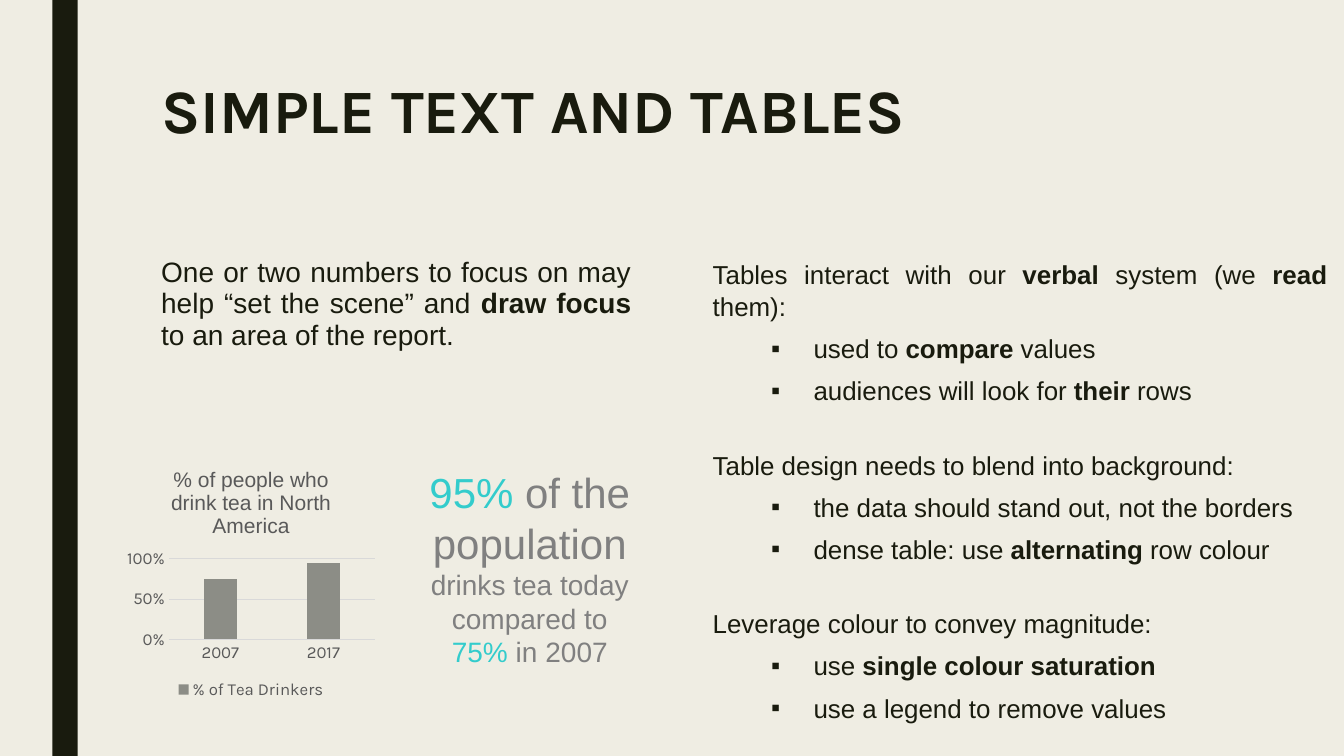
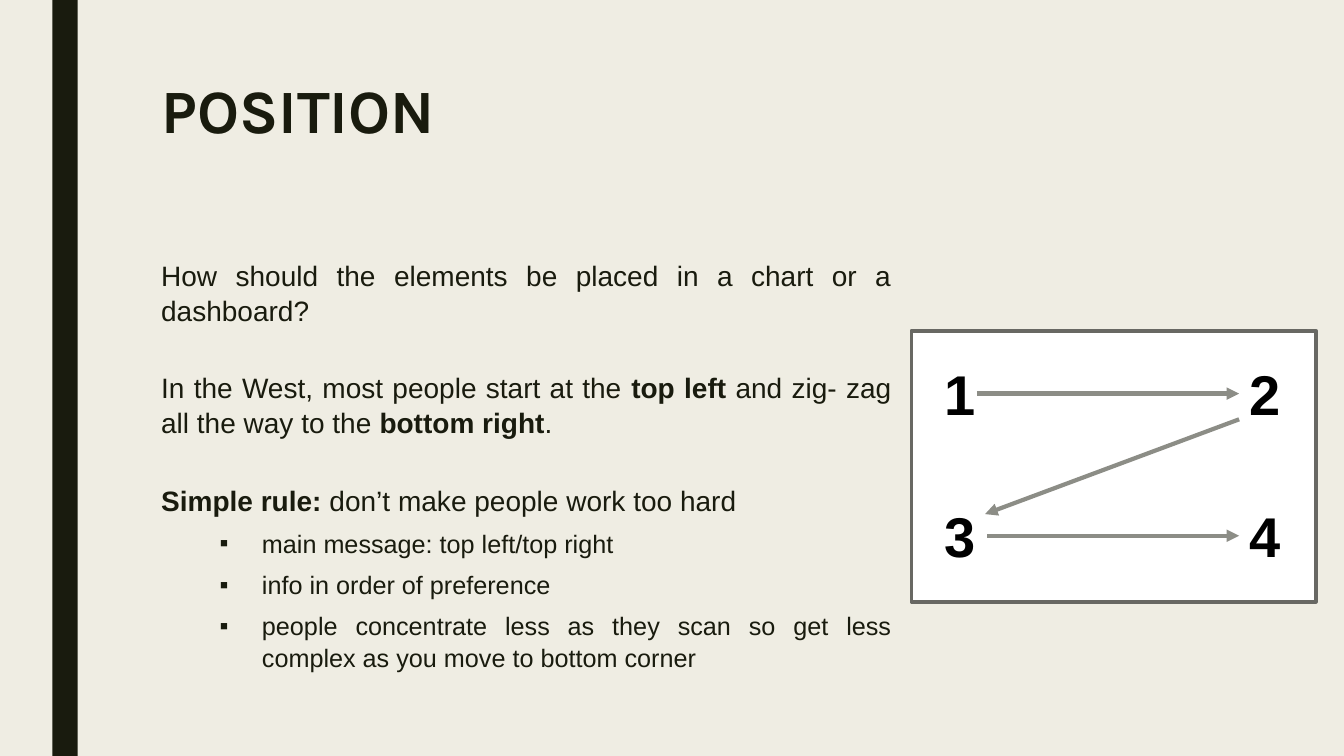
from lxml import etree
from pptx import Presentation
from pptx.chart import data
from pptx.dml import color
from pptx.enum import chart as kinds, shapes, text
from pptx.oxml import ns
from pptx.util import Inches, Pt

DARK, GREY, MID, PALE = "191B0E", "808080", "8C8D86", "D9D9D9"
TEAL, SLATE, SAND = "33CCCC", "595959", "EFEDE3"
JUST, MIDDLE = text.PP_ALIGN.JUSTIFY, text.PP_ALIGN.CENTER


def paint(fill, tone):
    fill.solid()
    fill.fore_color.rgb = color.RGBColor.from_string(tone)


def write(slide, place, rows, tone=DARK, mark=None, align=JUST, lead=1.04, after=2):
    box = slide.shapes.add_textbox(*map(Inches, place))
    frame = box.text_frame
    frame.word_wrap = True
    for i, (line, size, before, dot) in enumerate(rows):
        para = frame.add_paragraph() if i else frame.paragraphs[0]
        if dot:
            props = para._p.get_or_add_pPr()
            props.set("marL", str(Inches(1)))
            props.set("indent", str(-Inches(0.42)))
            etree.SubElement(props, ns.qn("a:buFont")).set("typeface", "Arial")
            etree.SubElement(props, ns.qn("a:buChar")).set("char", "▪")
            para.level = 1
        para.alignment = align
        para.line_spacing = lead
        para.space_before, para.space_after = Pt(before), Pt(after)
        for j, part in enumerate(line.split("*")):
            if part:
                run = para.add_run()
                run.text = part
                run.font.name, run.font.size = "Arial", Pt(size)
                run.font.bold = j % 2 == 1 and mark is None
                paint(run.font.fill, mark if j % 2 and mark else tone)
    return box


deck = Presentation()
deck.slide_width, deck.slide_height = Inches(13.33), Inches(7.5)
base = deck.slide_layouts[5]
paint(base.background.fill, SAND)

pages = []
for name in ["SIMPLE TEXT AND TABLES", "POSITION"]:
    page = deck.slides.add_slide(base)
    title = page.shapes.title
    title.left, title.top = Inches(1.5), Inches(0.75)
    title.width, title.height = Inches(10.5), Inches(1.62)
    frame = title.text_frame
    frame.vertical_anchor = text.MSO_ANCHOR.TOP
    frame.word_wrap = True
    para = frame.paragraphs[0]
    para.alignment = text.PP_ALIGN.LEFT
    para.line_spacing = 0.89
    run = para.add_run()
    run.text = name
    run.font.name, run.font.size, run.font.bold = "Karla", Pt(44), True
    paint(run.font.fill, DARK)
    pages.append(page)
simple, layout = pages

band = simple.shapes.add_shape(
    shapes.MSO_SHAPE.RECTANGLE, Inches(0.52), 0, Inches(0.25), Inches(7.5))
band.shadow.inherit = False
paint(band.fill, DARK)
band.line.fill.background()
base.shapes.element.append(band.element)

write(simple, (1.5, 2.5, 4.86, 1.5), [
    ("One or two numbers to focus on may help “set the scene” and "
     "*draw focus* to an area of the report.", 20, 0, False)], lead=0.94)

stats = data.CategoryChartData(number_format="0%")
stats.categories = ["2007", "2017"]
stats.add_series("% of Tea Drinkers", [0.75, 0.95])
chart = simple.shapes.add_chart(
    kinds.XL_CHART_TYPE.COLUMN_CLUSTERED, Inches(1.21), Inches(4.48),
    Inches(2.56), Inches(2.5), stats).chart
chart.font.name, chart.font.size = "Karla", Pt(12)
paint(chart.font.fill, SLATE)
chart.has_title = True
run = chart.chart_title.text_frame.paragraphs[0].add_run()
run.text = "% of people who drink tea in North America"
run.font.name, run.font.size, run.font.bold = "Arial", Pt(15), False
paint(run.font.fill, SLATE)
chart.has_legend = True
chart.legend.position = kinds.XL_LEGEND_POSITION.BOTTOM
chart.legend.include_in_layout = False
plot = chart.plots[0]
plot.gap_width, plot.overlap, plot.vary_by_categories = 219, -27, False
paint(plot.series[0].format.fill, MID)
cats, vals = chart.category_axis, chart.value_axis
for axis in (cats, vals):
    axis.major_tick_mark = axis.minor_tick_mark = kinds.XL_TICK_MARK.NONE
vals.minimum_scale, vals.maximum_scale, vals.major_unit = 0, 1, 0.5
vals.tick_labels.number_format = "0%"
vals.tick_labels.number_format_is_linked = False
vals.format.line.fill.background()
for line in (cats.format.line, vals.major_gridlines.format.line):
    paint(line.fill, PALE)
    line.width = Pt(0.75)

write(simple, (4.14, 4.58, 2.23, 2.12), [
    ("*95%* of the population", 30, 0, False),
    ("drinks tea today compared to", 20, 0, False),
    ("*75%* in 2007", 20, 0, False)], GREY, TEAL, MIDDLE, 1, 0)

write(simple, (6.97, 2.5, 6.29, 4.53), [
    ("Tables interact with our *verbal* system (we *read* them):", 18.5, 0, False),
    ("used to *compare* values", 18.5, 5, True),
    ("audiences will look for *their* rows", 18.5, 5, True),
    ("Table design needs to blend into background:", 18.5, 28, False),
    ("the data should stand out, not the borders", 18.5, 5, True),
    ("dense table: use *alternating* row colour", 18.5, 5, True),
    ("Leverage colour to convey magnitude:", 18.5, 28, False),
    ("use *single colour saturation*", 18.5, 5, True),
    ("use a legend to remove values", 18.5, 5, True)])

write(layout, (1.5, 2.5, 7.44, 3.92), [
    ("How should the elements be placed in a chart or a dashboard?", 20, 0, False),
    ("In the West, most people start at the *top left* and zig- zag "
     "all the way to the *bottom right*.", 20, 28.5, False),
    ("*Simple rule:* don’t make people work too hard", 20, 28.5, False),
    ("main message: top left/top right", 18, 5, True),
    ("info in order of preference", 18, 5, True),
    ("people concentrate less as they scan so get less complex "
     "as you move to bottom corner", 18, 5, True)])

panel = layout.shapes.add_shape(
    shapes.MSO_SHAPE.RECTANGLE, Inches(9.04), Inches(3.28), Inches(4.01), Inches(2.69))
panel.shadow.inherit = False
paint(panel.fill, "FFFFFF")
paint(panel.line.fill, "686863")
panel.line.width = Pt(2.75)

spots = []
for i in range(4):
    place = (9.27 + i % 2 * 3.02, 3.52 + i // 2 * 1.41, 0.52 if i else 0.42, 0.77)
    spot = write(layout, place, [(f"*{i + 1}*", 40, 0, False)], "000000",
                 align=text.PP_ALIGN.LEFT, lead=1, after=0)
    spot.text_frame.word_wrap = False
    spot.text_frame.margin_right = 0
    spots.append(spot)

ends = [(9.69, 3.91, 12.29, 3.91), (9.79, 5.32, 12.29, 5.32), (12.29, 4.16, 9.77, 5.1)]
for i, place in enumerate(ends):
    arrow = layout.shapes.add_connector(
        shapes.MSO_CONNECTOR.STRAIGHT, *map(Inches, place))
    if i < 2:
        arrow.begin_connect(spots[2 * i], 3)
        arrow.end_connect(spots[2 * i + 1], 1)
    paint(arrow.line.fill, MID)
    arrow.line.width = Pt(3)
    tip = etree.SubElement(arrow.line._get_or_add_ln(), ns.qn("a:tailEnd"))
    tip.set("type", "triangle")
    etree.SubElement(arrow.element.spPr, ns.qn("a:effectLst"))

deck.save("out.pptx")
